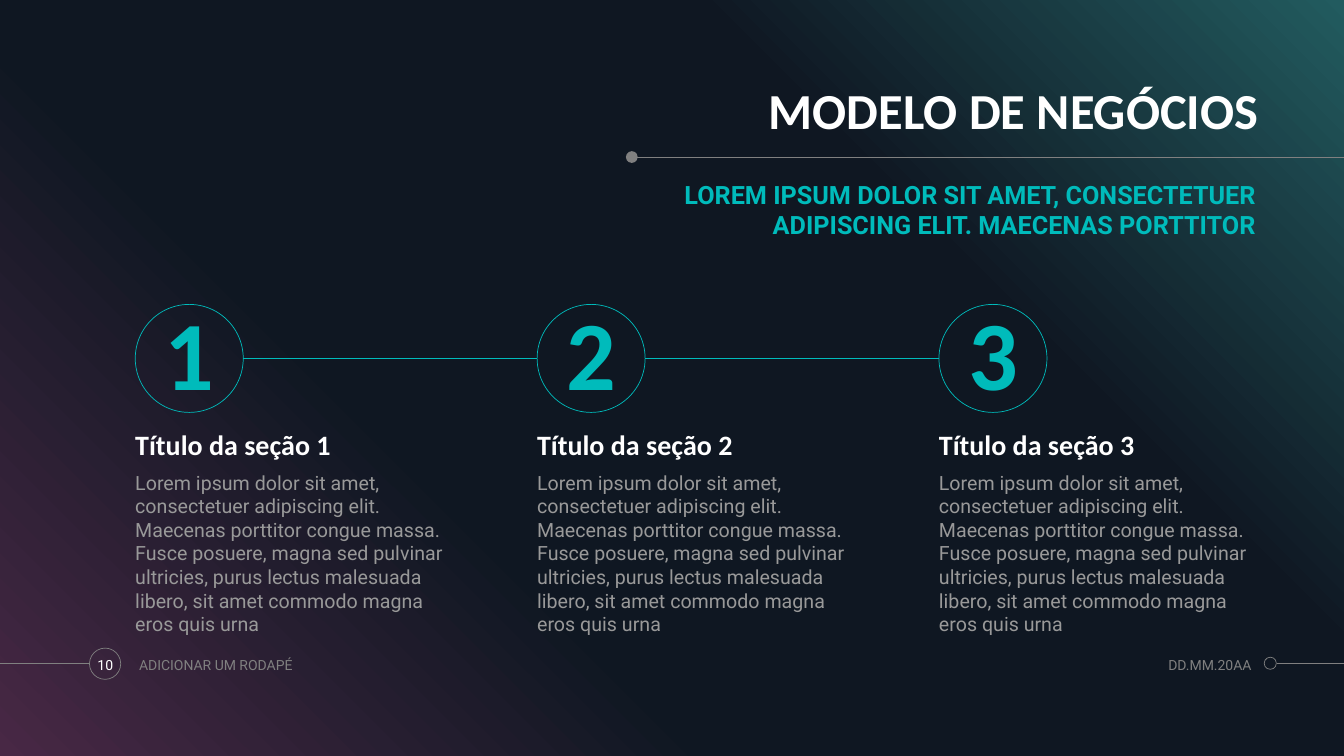
from lxml.etree import SubElement
from pptx import Presentation
from pptx.dml.color import RGBColor
from pptx.enum.shapes import MSO_CONNECTOR as Connector, MSO_SHAPE as Shape
from pptx.enum.text import MSO_ANCHOR as Anchor, MSO_AUTO_SIZE as AutoSize, PP_ALIGN as Align
from pptx.oxml.ns import qn
from pptx.util import Inches, Pt

COLORS = {
    "plum": "482845",
    "night": "0F1722",
    "pine": "225B5F",
    "teal": "00BBBB",
    "white": "FFFFFF",
    "gray": "808080",
    "silver": "999999",
}
HEADING, BODY = "Calibri", "Roboto"
COLUMNS, ROWS = 160, 90
SECTION_TEXT = (
    "Lorem ipsum dolor sit amet, consectetuer adipiscing elit. Maecenas porttitor "
    "congue massa. Fusce posuere, magna sed pulvinar ultricies, purus lectus malesuada "
    "libero, sit amet commodo magna eros quis urna"
)


def rgb(name):
    return RGBColor.from_string(COLORS[name])


class SlideBuilder:
    def __init__(self, presentation):
        self.column = presentation.slide_width / COLUMNS
        self.row = presentation.slide_height / ROWS
        self.slide = presentation.slides.add_slide(presentation.slide_layouts[5])

    def place(self, left, top, width, height):
        return (round(left * self.column), round(top * self.row),
                round(width * self.column), round(height * self.row))

    def background(self, stops, angle):
        fill = self.slide.background.fill
        fill.gradient()
        fill.gradient_angle = angle
        stop_list = self.slide.element.find(".//" + qn("a:gsLst"))
        for stop in list(stop_list):
            stop_list.remove(stop)
        for percent, name in stops:
            stop = SubElement(stop_list, qn("a:gs"), pos=str(percent * 1000))
            SubElement(stop, qn("a:srgbClr"), val=COLORS[name])

    def set_text(self, shape, text, size, color, font=BODY, bold=False,
                 align=Align.LEFT, anchor=Anchor.TOP, spacing=None):
        frame = shape.text_frame
        frame.text = text
        frame.word_wrap = True
        frame.auto_size = AutoSize.NONE
        frame.vertical_anchor = anchor
        frame.margin_left = frame.margin_right = frame.margin_top = frame.margin_bottom = 0
        paragraph = frame.paragraphs[0]
        paragraph.alignment = align
        paragraph.line_spacing = spacing
        paragraph.space_before = Pt(0)
        paragraph.font.name = font
        paragraph.font.size = Pt(size)
        paragraph.font.bold = bold
        paragraph.font.color.rgb = rgb(color)

    def title(self, box, text, size, color, **style):
        shape = self.slide.shapes.title
        shape.left, shape.top, shape.width, shape.height = self.place(*box)
        self.set_text(shape, text, size, color, **style)

    def text(self, box, text, size, color, **style):
        shape = self.slide.shapes.add_textbox(*self.place(*box))
        self.set_text(shape, text, size, color, **style)

    def circle(self, left, top, diameter, color, filled=False):
        box = self.place(left, top, diameter, diameter)
        shape = self.slide.shapes.add_shape(Shape.OVAL, *box)
        shape.shadow.inherit = False
        if filled:
            shape.fill.solid()
            shape.fill.fore_color.rgb = rgb(color)
            shape.line.fill.background()
        else:
            shape.fill.background()
            shape.line.color.rgb = rgb(color)
            shape.line.width = Pt(0.5)
        return shape

    def rule(self, start, end, row, color):
        ends = self.place(start, row, end, row)
        connector = self.slide.shapes.add_connector(Connector.STRAIGHT, *ends)
        connector.line.color.rgb = rgb(color)
        connector.line.width = Pt(0.5)
        SubElement(connector.element.spPr, qn("a:effectLst"))

    def section(self, number, left, diameter):
        circle = self.circle(left, 36.24, diameter, "teal")
        self.set_text(circle, str(number), 70, "teal", font=HEADING, bold=True,
                      align=Align.CENTER, anchor=Anchor.MIDDLE, spacing=0.9)
        self.text((left, 50.64, 38.64, 4.32), f"Título da seção {number}", 20, "white",
                  font=HEADING, bold=True, anchor=Anchor.BOTTOM, spacing=0.9)
        self.text((left, 56.04, 38.64, 18.6), SECTION_TEXT, 14, "silver")


def main():
    presentation = Presentation()
    presentation.slide_width, presentation.slide_height = Inches(13.33), Inches(7.5)
    builder = SlideBuilder(presentation)
    builder.background([(0, "plum"), (34, "night"), (69, "night"), (100, "pine")], 45)

    builder.rule(75.24, COLUMNS, 18.72, "gray")
    builder.circle(74.52, 18, 1.4, "gray", filled=True)
    builder.title((67, 9.24, 82.8, 7.44), "MODELO DE NEGÓCIOS", 36, "white", font=HEADING,
                  bold=True, align=Align.RIGHT, anchor=Anchor.BOTTOM, spacing=0.9)
    builder.text((67, 21.36, 82.5, 7.44),
                 "LOREM IPSUM DOLOR SIT AMET, CONSECTETUER ADIPISCING ELIT. MAECENAS PORTTITOR",
                 18, "teal", bold=True, align=Align.RIGHT)

    first, step, diameter, count = 16.1, 47.84, 12.86, 3
    for index in range(count):
        left = first + index * step
        builder.section(index + 1, left, diameter)
        if index < count - 1:
            builder.rule(left + diameter, left + step, 42.72, "teal")

    builder.rule(0, 10.6, 79, "gray")
    builder.circle(10.65, 77.16, 3.72, "gray")
    builder.rule(152, COLUMNS, 79, "gray")
    builder.circle(150.5, 78.24, 1.44, "gray")
    footers = [
        (10.2, 4.68, "10", "white", Align.CENTER),
        (16.56, 36, "ADICIONAR UM RODAPÉ", "gray", Align.LEFT),
        (131.4, 17.6, "DD.MM.20AA", "gray", Align.RIGHT),
    ]
    for left, width, text, color, align in footers:
        builder.text((left, 77.16, width, 3.96), text, 10, color,
                     align=align, anchor=Anchor.MIDDLE)

    presentation.save("out.pptx")


if __name__ == "__main__":
    main()
